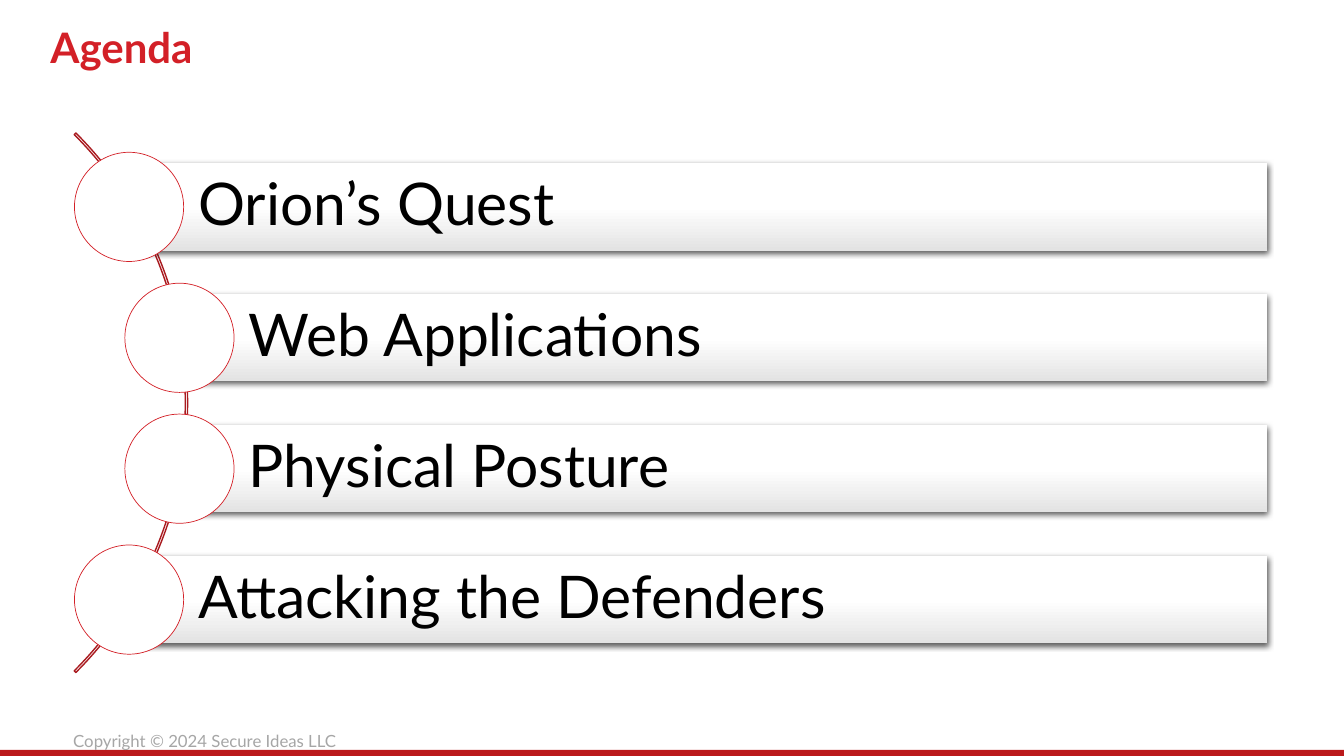
from lxml import etree
from pptx import Presentation
from pptx.dml.color import RGBColor
from pptx.enum.shapes import MSO_SHAPE as SHAPE
from pptx.enum.text import MSO_ANCHOR as ANCHOR, PP_ALIGN as ALIGN
from pptx.oxml.ns import qn
from pptx.util import Pt

COLORS = {
    "red": "D32027", "arc": "A91A1F", "strip": "BB191B", "white": "FFFFFF",
    "shade": "E3E3E3", "text": "000000", "footer": "A6A6A6",
}
TOPICS = [
    ("Orion’s Quest", 92.2),
    ("Web Applications", 128.2),
    ("Physical Posture", 128.2),
    ("Attacking the Defenders", 92.2),
]
BAR_TOP, BAR_HEIGHT, BAR_RIGHT, PITCH = 116.6, 62.4, 905, 93.5
CIRCLE = BAR_HEIGHT * 1.25


class Deck:
    """Holds the style and the current slide."""

    def __init__(self, width, height, font="Lato"):
        """Start a presentation with one title-only slide."""
        self.prs = Presentation()
        self.prs.slide_width, self.prs.slide_height = Pt(width), Pt(height)
        self.font = font
        self.slide = self.prs.slides.add_slide(self.prs.slide_layouts[5])

    def color(self, name):
        """Return the named colour."""
        return RGBColor.from_string(COLORS[name])

    def set_text(self, sp, text, size, color, insets, bold=False, wrap=True):
        """Put one left-aligned, vertically centred paragraph in a shape."""
        tf = sp.text_frame
        tf.word_wrap = wrap
        tf.vertical_anchor = ANCHOR.MIDDLE
        tf.margin_left, tf.margin_top, tf.margin_right, tf.margin_bottom = map(Pt, insets)
        p = tf.paragraphs[0]
        p.text = text
        p.alignment = ALIGN.LEFT
        p.font.name, p.font.size, p.font.bold = self.font, Pt(size), bold
        p.font.color.rgb = self.color(color)
        return p

    def title(self, text, box):
        """Place and format the title placeholder."""
        sp = self.slide.shapes.title
        sp.left, sp.top, sp.width, sp.height = map(Pt, box)
        self.set_text(sp, text, 30, "red", (0, 3, 0, 0), bold=True)

    def label(self, text, box, size, color):
        """Add a text box."""
        sp = self.slide.shapes.add_textbox(*map(Pt, box))
        self.set_text(sp, text, size, color, (7.2, 3.6, 7.2, 3.6), wrap=False)

    def shape(self, kind, box, fill=None, line=None, weight=1):
        """Add a preset shape with flat fill and line."""
        sp = self.slide.shapes.add_shape(kind, *map(Pt, box))
        sp.shadow.inherit = False
        if fill:
            sp.fill.solid()
            sp.fill.fore_color.rgb = self.color(fill)
        else:
            sp.fill.background()
        if line:
            sp.line.color.rgb = self.color(line)
            sp.line.width = Pt(weight)
        else:
            sp.line.fill.background()
        return sp

    def shadow(self, sp, blur, dist, alpha):
        """Give a shape a soft shadow straight below it."""
        effects = sp._element.spPr.find(qn("a:effectLst"))
        outer = etree.SubElement(effects, qn("a:outerShdw"), blurRad=str(Pt(blur)),
                                 dist=str(Pt(dist)), dir="5400000", rotWithShape="0")
        clr = etree.SubElement(outer, qn("a:srgbClr"), val=COLORS["text"])
        etree.SubElement(clr, qn("a:alpha"), val=str(alpha * 1000))

    def bar(self, text, box):
        """Add a shaded topic bar."""
        sp = self.shape(SHAPE.RECTANGLE, box)
        sp.fill.gradient()
        sp.fill.gradient_angle = 270
        for stop, pos, name in zip(sp.fill.gradient_stops, (0.5, 1), ("white", "shade")):
            stop.position = pos
            stop.color.rgb = self.color(name)
        self.shadow(sp, 4.5, 1.5, 63)
        p = self.set_text(sp, text, 42, "text", (49.5, 8.4, 8.4, 8.4))
        p.line_spacing = 0.9

    def arc(self, box, adjustments):
        """Add an outlined block arc."""
        sp = self.shape(SHAPE.BLOCK_ARC, box, line="arc")
        for i, value in enumerate(adjustments):
            sp.adjustments[i] = value


def main():
    """Build the agenda slide."""
    s = Deck(960, 540)
    s.title("Agenda", (36, 6.5, 842, 50.4))
    s.shape(SHAPE.RECTANGLE, (0, 535.7, 960, 4.3), fill="strip")
    s.label("Copyright © 2024 Secure Ideas LLC", (45.2, 518.4, 209.5, 21.6), 12, "footer")
    s.arc((-411, 15.2, 545, 545), (189, 27, 0.003))
    for i, (topic, left) in enumerate(TOPICS):
        top = BAR_TOP + i * PITCH
        s.bar(topic, (left, top, BAR_RIGHT - left, BAR_HEIGHT))
        s.shape(SHAPE.OVAL, (left - CIRCLE / 2, top - BAR_HEIGHT / 8, CIRCLE, CIRCLE),
                fill="white", line="red", weight=0.5)
    s.prs.save("out.pptx")


if __name__ == "__main__":
    main()
